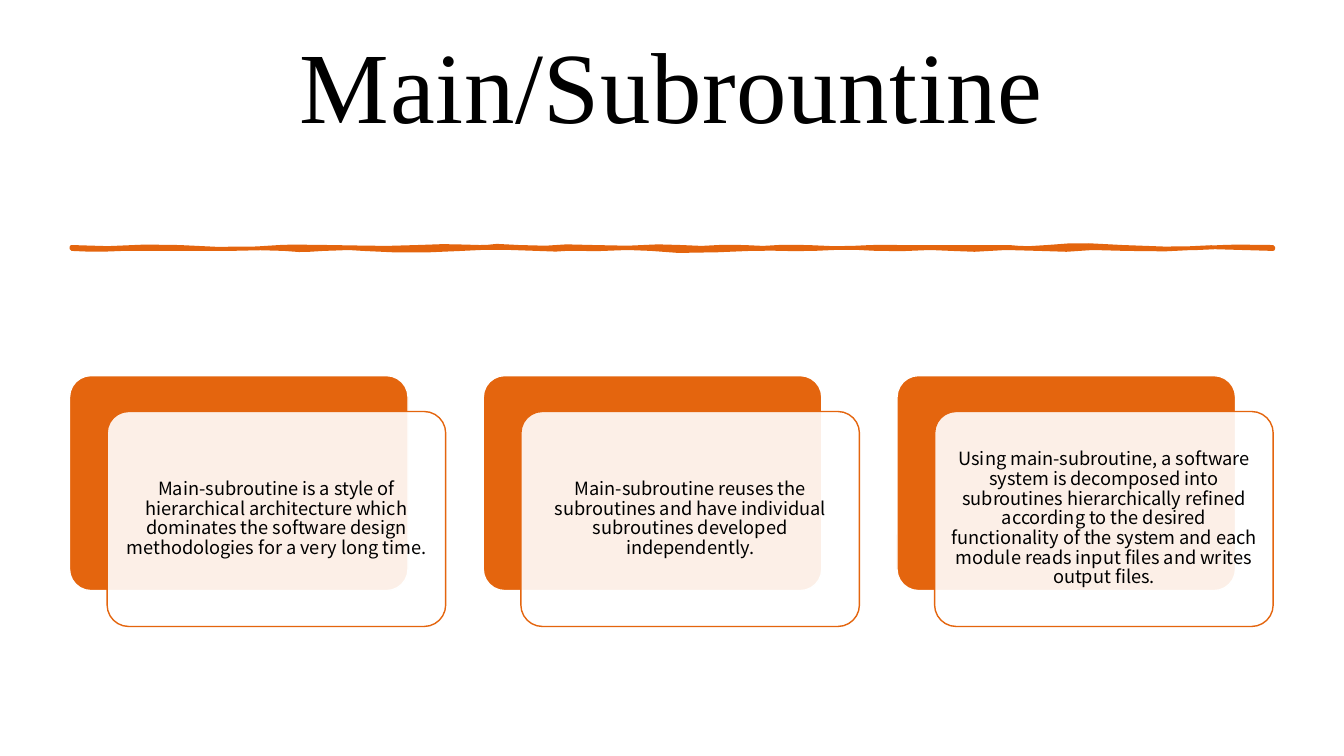
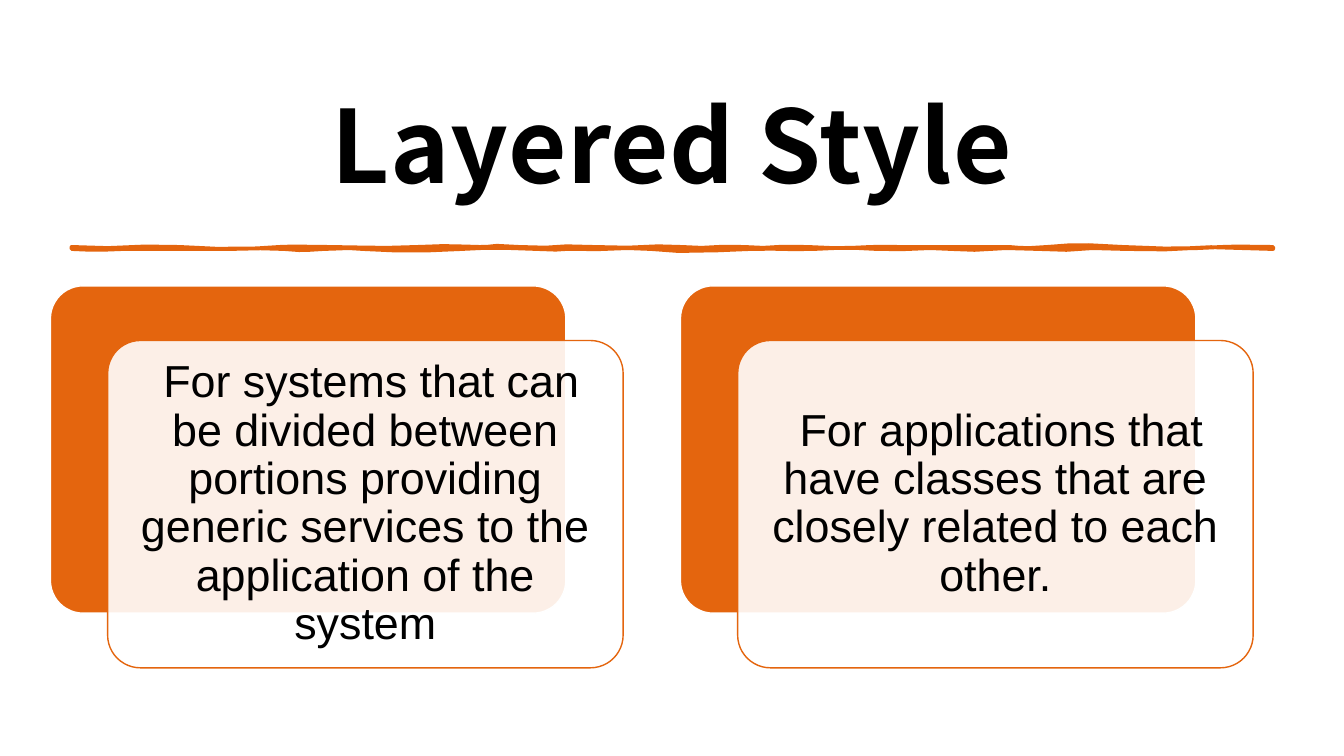
from lxml.etree import SubElement
from pptx import Presentation
from pptx.dml.color import RGBColor
from pptx.enum.shapes import MSO_SHAPE
from pptx.enum.text import MSO_ANCHOR, PP_ALIGN
from pptx.oxml.ns import qn
from pptx.util import Pt

SLIDE_WIDTH = 960
SLIDE_HEIGHT = 540
ORANGE = "E4650E"
WHITE = "FFFFFF"
BLACK = "000000"
SANS = "Noto Sans CJK JP"

RULE_UNIT = Pt(0.72)
RULE_LEFT = 71
RULE_RIGHT = 1263
LOWER_EDGE = 247
UPPER_EDGE = 245
CURVE_STEPS = 3

LOWER_CURVES = [
    (84, 1, 107, 1, 122), (136, 0, 166, 0, 196), (226, 1, 264, -2, 282), (301, 2, 303, 1, 321),
    (340, 0, 341, -2, 360), (379, 2, 436, 2, 458), (481, -2, 507, -1, 533), (558, 2, 559, -1, 572),
    (584, 2, 631, -3, 646), (661, 4, 722, 1, 744), (767, -1, 786, 1, 807), (828, -1, 846, -2, 870),
    (893, 2, 928, -3, 944), (960, 4, 1000, -4, 1031), (1061, 4, 1078, -4, 1117),
    (1156, 4, 1190, -6, RULE_RIGHT),
]
UPPER_CURVES = [
    (1238, 0, 1231, -1, 1212), (1193, 1, 1160, 3, 1114), (1068, -3, 1065, -2, 1039),
    (1014, 2, 1015, 1, 1001), (986, 0, 960, 0, 926), (892, 1, 884, -1, 864), (844, 1, 831, 2, 801),
    (771, -2, 759, 3, 738), (718, -2, 695, 3, 676), (657, -3, 624, 3, 589), (555, -3, 548, 3, 515),
    (482, -3, 488, 1, 476), (464, 0, 441, -2, 414), (386, 2, 347, 0, 327), (308, 0, 288, -1, 277),
    (265, 2, 209, 3, 178), (147, -3, 105, 4, RULE_LEFT),
]

MAIN_TEXTS = [
    "Main-subroutine is a style of hierarchical architecture which dominates the software design "
    "methodologies for a very long time.",
    "Main-subroutine reuses the subroutines and have individual subroutines developed independently.",
    "Using main-subroutine, a software system is decomposed into subroutines hierarchically refined "
    "according to the desired functionality of the system and each module reads input files and "
    "writes output files.",
]
LAYERED_TEXTS = [
    " For systems that can be divided between portions providing generic services to the "
    "application of the system",
    " For applications that have classes that are closely related to each other.",
]


def color(value):
    return RGBColor.from_string(value)


def paint(shape, fill, line=None, line_width=1):
    shape.shadow.inherit = False
    shape.fill.solid()
    shape.fill.fore_color.rgb = color(fill)
    if line:
        shape.line.color.rgb = color(line)
        shape.line.width = Pt(line_width)
    else:
        shape.line.fill.background()


def set_opacity(shape, percent):
    fill_color = shape.element.spPr.find(qn("a:solidFill"))[0]
    SubElement(fill_color, qn("a:alpha")).set("val", str(percent * 1000))


def write_text(shape, text, font_name, size, insets, bold=False):
    frame = shape.text_frame
    frame.word_wrap = True
    frame.vertical_anchor = MSO_ANCHOR.MIDDLE
    frame.margin_left, frame.margin_top, frame.margin_right, frame.margin_bottom = map(Pt, insets)
    paragraph = frame.paragraphs[0]
    paragraph.alignment = PP_ALIGN.CENTER
    run = paragraph.add_run()
    run.text = text
    font = paragraph.font
    font.name = font_name
    font.size = Pt(size)
    font.bold = bold
    font.color.rgb = color(BLACK)
    return paragraph


def add_title(slide, text, font_name, top, bold=False):
    title = slide.shapes.add_textbox(Pt(50), Pt(top), Pt(860), Pt(103.7))
    paragraph = write_text(title, text, font_name, 72, (8.64, 8.64, 8.64, 7.2), bold)
    for run in paragraph.runs:
        run._r.get_or_add_rPr().set("spc", "50")


def edge_points(start_x, edge_y, curves):
    points = [(start_x, edge_y)]
    for x1, rise1, x2, rise2, end_x in curves:
        for step in range(1, CURVE_STEPS + 1):
            t = step / CURVE_STEPS
            near, far = 3 * t * (1 - t) ** 2, 3 * t ** 2 * (1 - t)
            x = start_x * (1 - t) ** 3 + x1 * near + x2 * far + end_x * t ** 3
            points.append((x, edge_y + rise1 * near + rise2 * far))
        start_x = end_x
    return points


def add_wavy_rule(slide):
    outline = edge_points(RULE_LEFT, LOWER_EDGE, LOWER_CURVES)
    outline += edge_points(RULE_RIGHT, UPPER_EDGE, UPPER_CURVES)
    points = [(x * RULE_UNIT, y * RULE_UNIT) for x, y in outline]
    builder = slide.shapes.build_freeform(*points[0])
    builder.add_line_segments(points[1:], close=True)
    paint(builder.convert_to_shape(), ORANGE, ORANGE, 2.75)


def add_rounded_card(slide, left, top, width, fill, line):
    card = slide.shapes.add_shape(
        MSO_SHAPE.ROUNDED_RECTANGLE, Pt(left), Pt(top), Pt(width), Pt(width * 0.635)
    )
    card.adjustments[0] = 0.1
    paint(card, fill, line)
    return card


def add_cards(slide, texts, left, top, width, font_name, size, inset):
    for index, text in enumerate(texts):
        card_left = left + index * width * 11 / 9
        add_rounded_card(slide, card_left, top, width, ORANGE, WHITE)
        front = add_rounded_card(
            slide, card_left + width / 9, top + width * 0.106, width, WHITE, ORANGE
        )
        set_opacity(front, 90)
        paragraph = write_text(front, text, font_name, size, [inset] * 4)
        paragraph.line_spacing = 0.9


def add_slide(presentation, title, font_name, title_top, bold=False):
    slide = presentation.slides.add_slide(presentation.slide_layouts[6])
    backdrop = slide.shapes.add_shape(
        MSO_SHAPE.RECTANGLE, 0, 0, Pt(SLIDE_WIDTH), Pt(SLIDE_HEIGHT)
    )
    paint(backdrop, WHITE)
    add_title(slide, title, font_name, title_top, bold)
    add_wavy_rule(slide)
    return slide


def main():
    presentation = Presentation()
    presentation.slide_width = Pt(SLIDE_WIDTH)
    presentation.slide_height = Pt(SLIDE_HEIGHT)

    main_slide = add_slide(presentation, "Main/Subrountine", "Times New Roman", 7)
    add_cards(main_slide, MAIN_TEXTS, 49.7, 268.3, 241.8, SANS, 13, 5)

    layered_slide = add_slide(presentation, "Layered Style", SANS, 49.7, bold=True)
    add_cards(layered_slide, LAYERED_TEXTS, 36, 204.2, 368.2, "Arial", 32, 9.6)

    presentation.save("out.pptx")


if __name__ == "__main__":
    main()
